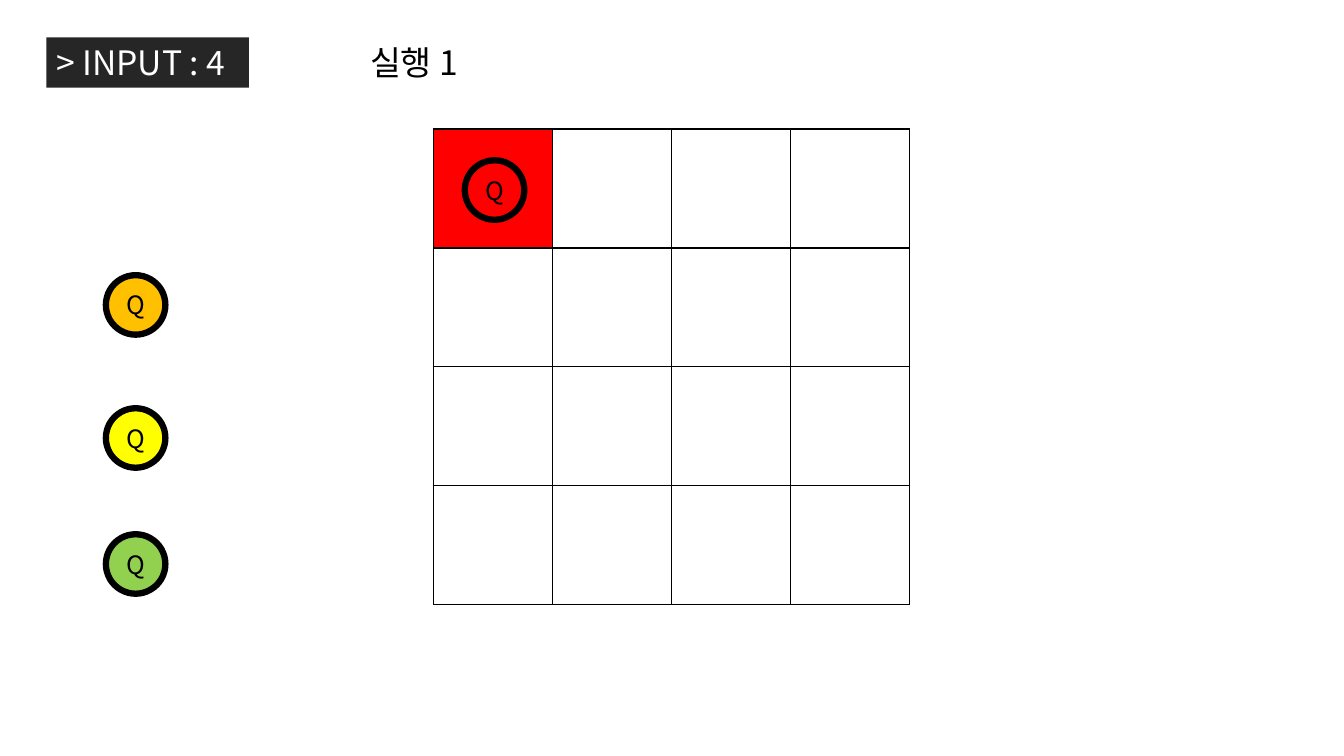
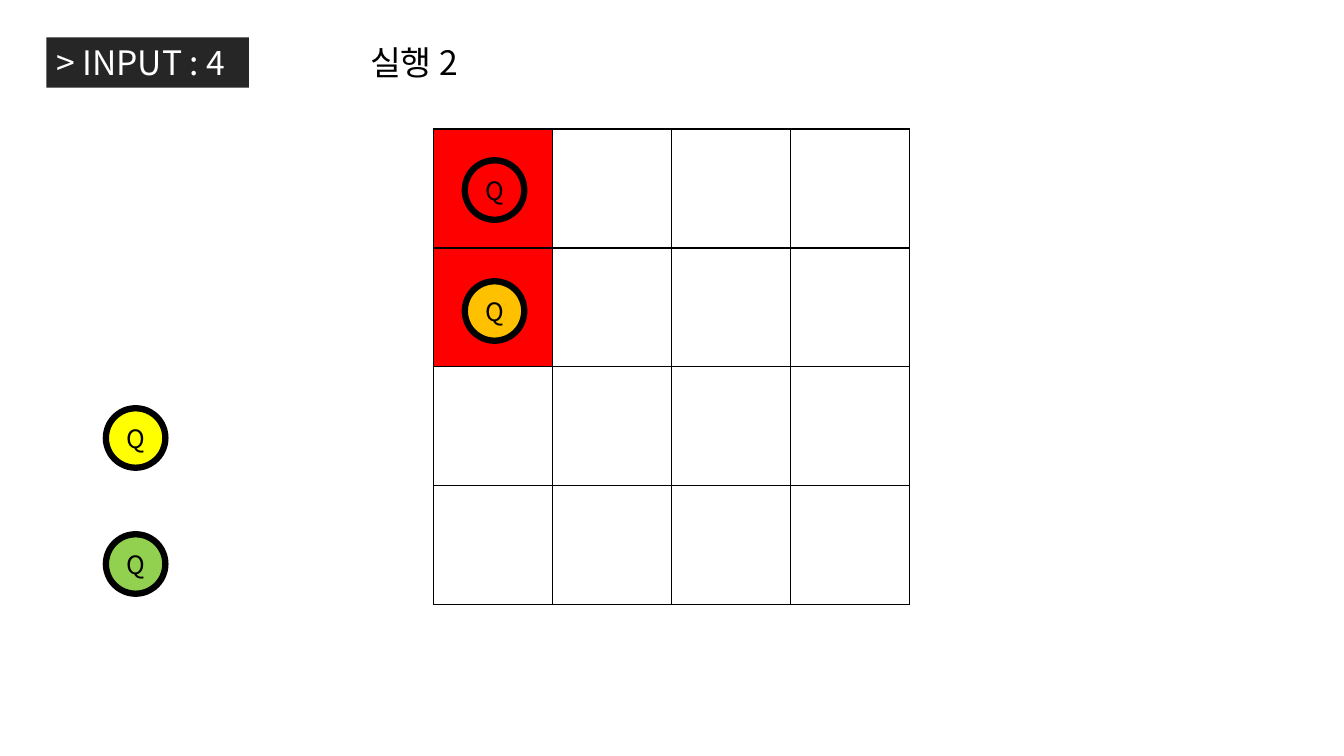
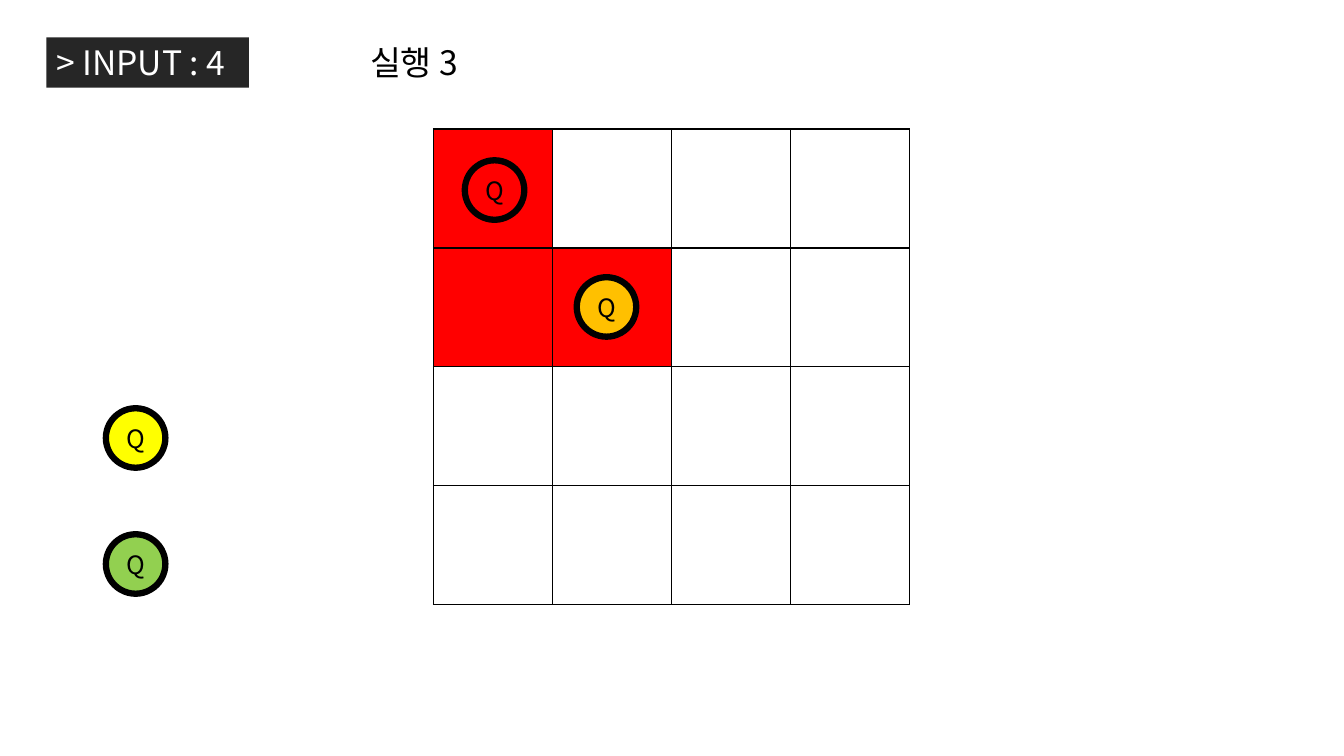
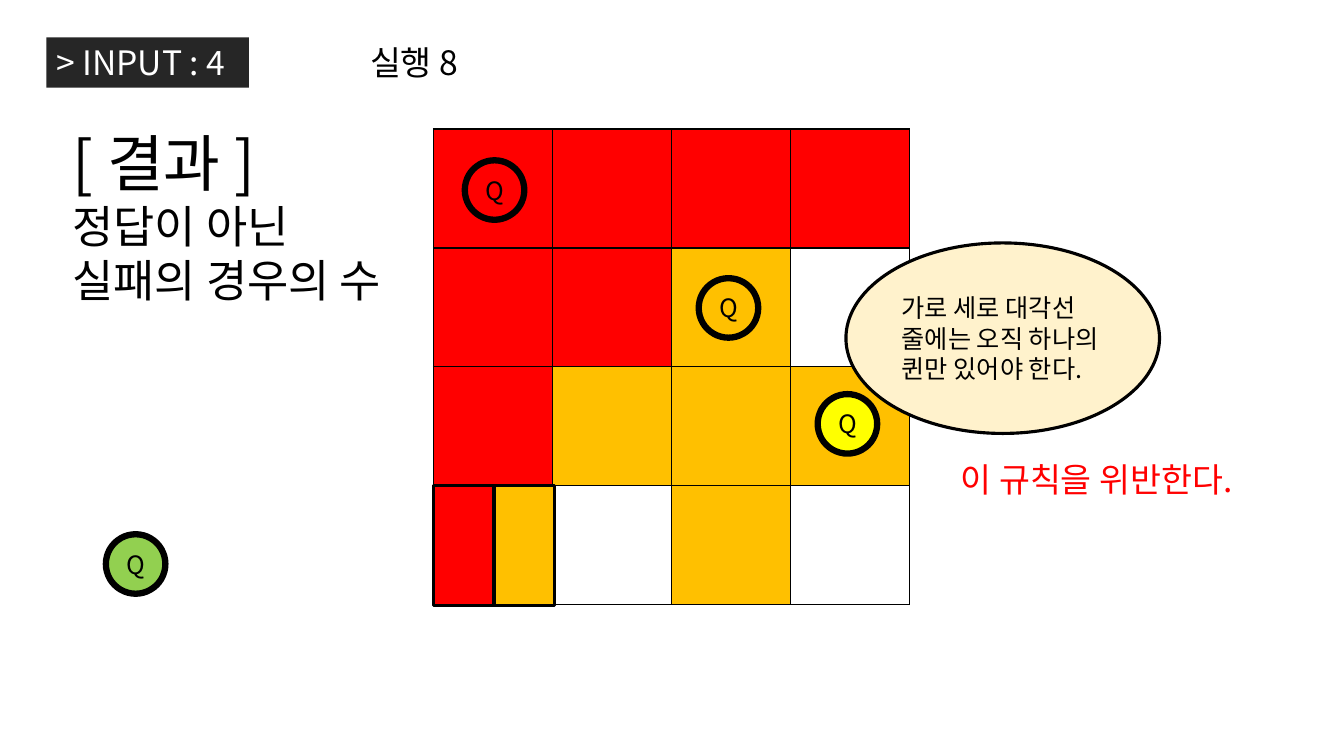
from lxml.etree import SubElement
from pptx import Presentation
from pptx.dml.color import RGBColor
from pptx.enum.shapes import MSO_SHAPE
from pptx.enum.text import MSO_ANCHOR, PP_ALIGN
from pptx.oxml import parse_xml
from pptx.oxml.ns import nsdecls, qn
from pptx.util import Inches, Pt

FONT = "Noto Sans CJK KR"
BLACK = RGBColor(0x00, 0x00, 0x00)
WHITE = RGBColor(0xFF, 0xFF, 0xFF)
CONSOLE = RGBColor(0x26, 0x26, 0x26)
RED = RGBColor(0xFF, 0x00, 0x00)
ORANGE = RGBColor(0xFF, 0xC0, 0x00)
YELLOW = RGBColor(0xFF, 0xFF, 0x00)
GREEN = RGBColor(0x92, 0xD0, 0x50)
CREAM = RGBColor(0xFF, 0xF2, 0xCC)

BOARD_LEFT, BOARD_TOP, CELL = 4.3, 1.28, 1.18
QUEEN_SIZE = 0.59
QUEEN_COLOURS = [RED, ORANGE, YELLOW, GREEN]
CELL_COLOURS = {"R": RED, "O": ORANGE}

# Queen places (left, top): waiting beside the board, or set on it
FIRST = (4.61, 1.59)
WAITING_2, WAITING_3, WAITING_4 = (1.05, 2.73), (1.05, 4.05), (1.05, 5.3)

# Title, marked cells by row, places of the four queens
STEPS = [
    ("실행 1", ["R...", "....", "....", "...."],
     [FIRST, WAITING_2, WAITING_3, WAITING_4]),
    ("실행 2", ["R...", "R...", "....", "...."],
     [FIRST, (4.61, 2.79), WAITING_3, WAITING_4]),
    ("실행 3", ["R...", "RR..", "....", "...."],
     [FIRST, (5.72, 2.75), WAITING_3, WAITING_4]),
    ("실행 8", ["RRRR", "RRO.", "ROOO", "..O."],
     [FIRST, (6.93, 2.76), (8.11, 3.91), WAITING_4]),
]
PROMPT = [("> INPUT : 4", 24)]
RULE = [("가로 세로 대각선", 18), ("줄에는 오직 하나의 퀸만 있어야 한다.", 18)]
VIOLATION = [("이 규칙을 위반한다.", 24)]
RESULT = [("[ 결과 ]", 44), ("정답이 아닌", 32), ("실패의 경우의 수", 32)]
SHARED_CELL = [(4.3, RED), (4.9, ORANGE)]


def place(shape, box):
    """Move and size a shape to a box given in inches."""
    for side, length in zip(("left", "top", "width", "height"), box):
        setattr(shape, side, Inches(length))


def write(shape, lines, colour=BLACK, align=PP_ALIGN.LEFT, anchor=MSO_ANCHOR.TOP):
    """Write one paragraph per (words, size) line."""
    frame = shape.text_frame
    frame.word_wrap = True
    frame.vertical_anchor = anchor
    for number, (words, size) in enumerate(lines):
        paragraph = frame.add_paragraph() if number else frame.paragraphs[0]
        paragraph.alignment = align
        paragraph.line_spacing = 1.0
        run = paragraph.add_run()
        run.text = words
        for name, value in {"name": FONT, "size": Pt(size), "bold": False}.items():
            setattr(run.font, name, value)
        run.font.color.rgb = colour
        SubElement(run.font._element, qn("a:ea"), typeface=FONT)


def add_figure(slide, kind, box, fill, line_width=0):
    """Add a flat preset shape, outlined in black if a line width is given."""
    figure = slide.shapes.add_shape(kind, *map(Inches, box))
    figure.shadow.inherit = False
    figure.fill.solid()
    figure.fill.fore_color.rgb = fill
    if line_width:
        figure.line.color.rgb = BLACK
        figure.line.width = Pt(line_width)
    else:
        figure.line.fill.background()
    return figure


def add_text(slide, box, lines, colour=BLACK):
    """Add a wrapped text box."""
    write(slide.shapes.add_textbox(*map(Inches, box)), lines, colour)


def add_board(slide, rows):
    """Draw the chess board with its marked cells."""
    side = Inches(CELL * len(rows))
    board = slide.shapes.add_table(len(rows), len(rows), Inches(BOARD_LEFT),
                                   Inches(BOARD_TOP), side, side).table
    board.first_row = board.horz_banding = False
    for column in board.columns:
        column.width = Inches(CELL)
    for r, marks in enumerate(rows):
        board.rows[r].height = Inches(CELL)
        for c, mark in enumerate(marks):
            cell = board.cell(r, c)
            if mark in CELL_COLOURS:
                cell.fill.solid()
                cell.fill.fore_color.rgb = CELL_COLOURS[mark]
            else:
                cell.fill.background()
            properties = cell._tc.get_or_add_tcPr()
            for position, edge in enumerate(("lnL", "lnR", "lnT", "lnB")):
                properties.insert(position, parse_xml(
                    f'<a:{edge} {nsdecls("a")} w="{Pt(1)}"><a:solidFill>'
                    f'<a:srgbClr val="{BLACK}"/></a:solidFill></a:{edge}>'))


def add_step(deck, title, rows, places):
    """Add a slide with the prompt, the title, the board and the queens."""
    slide = deck.slides.add_slide(deck.slide_layouts[5])
    place(slide.shapes.title, (3.57, 0.37, 6.11, 0.5))
    write(slide.shapes.title, [(title, 24)])
    add_board(slide, rows)
    prompt = add_figure(slide, MSO_SHAPE.RECTANGLE, (0.46, 0.37, 2.01, 0.5), CONSOLE)
    write(prompt, PROMPT, WHITE)
    for (left, top), colour in zip(places, QUEEN_COLOURS):
        queen = add_figure(slide, MSO_SHAPE.OVAL,
                           (left, top, QUEEN_SIZE, QUEEN_SIZE), colour, 4.5)
        write(queen, [("Q", 18)], align=PP_ALIGN.CENTER, anchor=MSO_ANCHOR.MIDDLE)
    return slide


def add_outcome(slide):
    """Explain why the last step fails."""
    rule = add_figure(slide, MSO_SHAPE.OVAL, (8.39, 2.41, 3.11, 1.89), CREAM, 2.25)
    write(rule, RULE, anchor=MSO_ANCHOR.MIDDLE)
    add_text(slide, (9.43, 4.5, 3.13, 0.5), VIOLATION, RED)
    add_text(slide, (0.62, 1.19, 5.59, 1.92), RESULT)
    for left, colour in SHARED_CELL:
        add_figure(slide, MSO_SHAPE.RECTANGLE, (left, 4.82, 0.6, 1.19), colour, 2.25)


deck = Presentation()
deck.slide_width, deck.slide_height = Inches(13.33), Inches(7.5)
slides = [add_step(deck, *step) for step in STEPS]
add_outcome(slides[-1])
deck.save("out.pptx")
